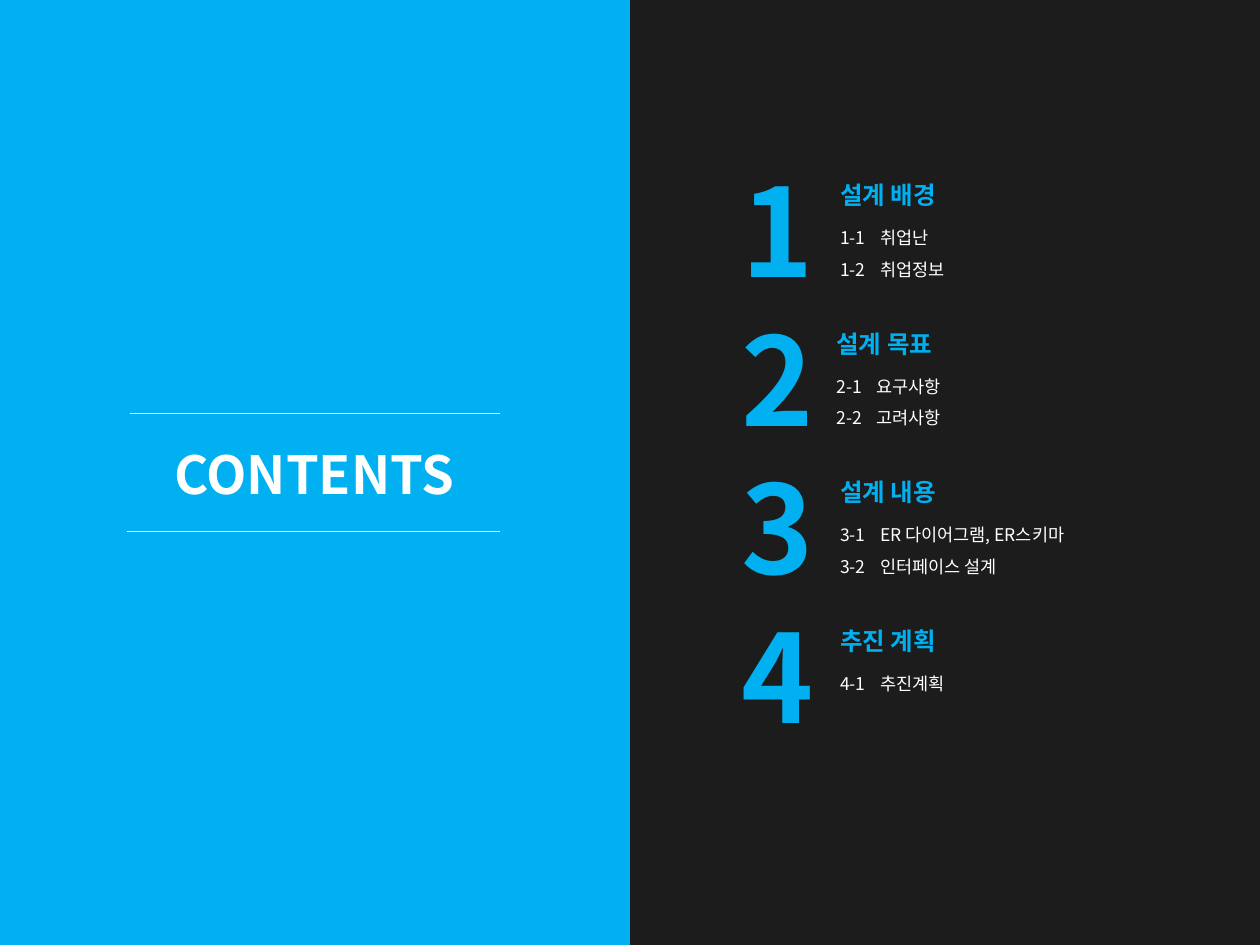
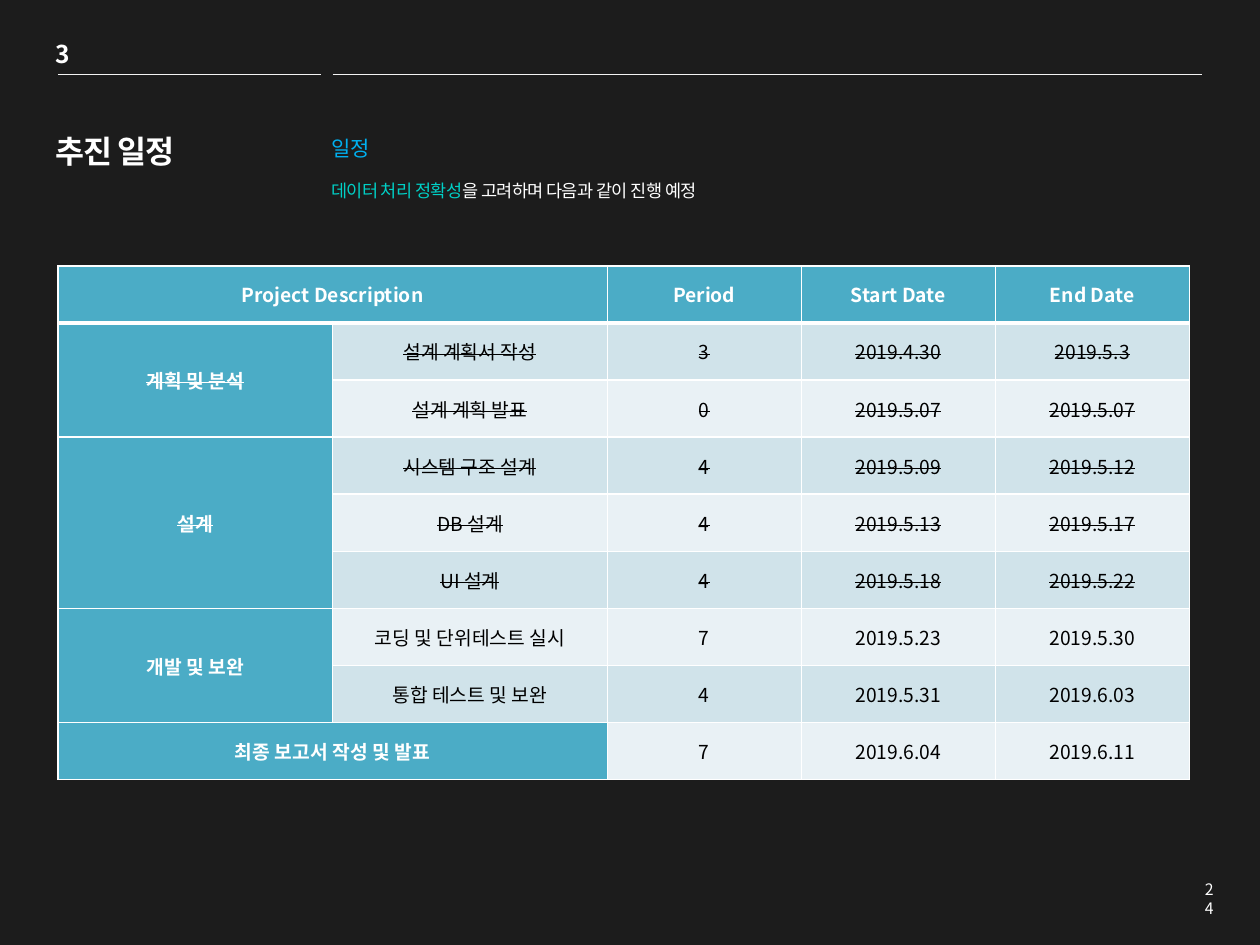
from pptx import Presentation, util as u
from pptx.dml.color import RGBColor
from pptx.enum import shapes, text
from pptx.oxml import ns, xmlchemy

Inches, Pt = u.Inches, u.Pt

# Shared look
FONT = "Noto Sans CJK KR"
DARK = RGBColor(0x1C, 0x1C, 0x1C)
WHITE = RGBColor(0xFF, 0xFF, 0xFF)
BLACK = RGBColor(0, 0, 0)
BLUE = RGBColor(0x00, 0xB0, 0xF0)
MINT = RGBColor(0x00, 0xD0, 0xC6)
RULE_GREY = RGBColor(0xF2, 0xF2, 0xF2)
TEAL = RGBColor(0x4B, 0xAC, 0xC6)
BANDS = [RGBColor(0xE9, 0xF1, 0xF5), RGBColor(0xD0, 0xE3, 0xEA)]

# Contents: heading, items, shift of the text column
SECTIONS = [
    ("설계 배경", ["1-1\t취업난", "1-2\t취업정보"], 0),
    ("설계 목표", ["2-1\t요구사항", "2-2\t고려사항"], -0.03),
    ("설계 내용", ["3-1\tER 다이어그램, ER스키마", "3-2\t인터페이스 설계"], 0),
    ("추진 계획", ["4-1\t추진계획"], 0),
]
SECTION_TOP, SECTION_STEP = 1.18, 1.18

# Schedule
COLUMN_WIDTHS = [2.18, 2.18, 1.54, 1.54, 1.54]
TABLE_HEIGHT = 4.08
SCHEDULE = [
    ["Project Description", "", "Period", "Start Date", "End Date"],
    ["계획 및 분석", "설계 계획서 작성", "3", "2019.4.30", "2019.5.3"],
    ["", "설계 계획 발표", "0", "2019.5.07", "2019.5.07"],
    ["설계", "시스템 구조 설계", "4", "2019.5.09", "2019.5.12"],
    ["", "DB 설계", "4", "2019.5.13", "2019.5.17"],
    ["", "UI 설계", "4", "2019.5.18", "2019.5.22"],
    ["개발 및 보완", "코딩 및 단위테스트 실시", "7", "2019.5.23", "2019.5.30"],
    ["", "통합 테스트 및 보완", "4", "2019.5.31", "2019.6.03"],
    ["최종 보고서 작성 및 발표", "", "7", "2019.6.04", "2019.6.11"],
]
MERGES = [((0, 0), (0, 1)), ((1, 0), (2, 0)), ((3, 0), (5, 0)),
          ((6, 0), (7, 0)), ((8, 0), (8, 1))]
DONE_ROWS = range(1, 6)


def add_element(parent, tag, **attributes):
    element = xmlchemy.OxmlElement(tag)
    for name, value in attributes.items():
        element.set(name, str(value))
    parent.append(element)
    return element


def style_span(span, size, color, bold=False, spacing=0, strike=False):
    span.font.size = Pt(size)
    span.font.bold = bold
    span.font.color.rgb = color
    span.font.name = FONT
    properties = span.font._element
    add_element(properties, "a:ea", typeface=FONT)
    if spacing:
        properties.set("spc", str(round(spacing * 100)))
    if strike:
        properties.set("strike", "sngStrike")


def add_page(deck):
    page = deck.slides.add_slide(deck.slide_layouts[6])
    page.background.fill.solid()
    page.background.fill.fore_color.rgb = DARK
    return page


def add_text(holder, place, lines, size, color, bold=False, spacing=0,
             wrap=True, fit=True, align=text.PP_ALIGN.LEFT,
             anchor=text.MSO_ANCHOR.TOP, line_spacing=None, tab=None):
    box = holder.shapes.add_textbox(*map(Inches, place))
    frame = box.text_frame
    frame.text = "\n".join(lines)
    frame.word_wrap = wrap
    frame.vertical_anchor = anchor
    if fit:
        frame.auto_size = text.MSO_AUTO_SIZE.SHAPE_TO_FIT_TEXT
    for para in frame.paragraphs:
        para.alignment = align
        if line_spacing:
            para.line_spacing = line_spacing
        if tab:
            tabs = add_element(para._p.get_or_add_pPr(), "a:tabLst")
            add_element(tabs, "a:tab", pos=Inches(tab), algn="l")
        for span in para.runs:
            style_span(span, size, color, bold, spacing)
    return box


def add_rule(page, left, right, top, color, width):
    line = page.shapes.add_connector(
        shapes.MSO_CONNECTOR.STRAIGHT,
        Inches(left), Inches(top), Inches(right), Inches(top))
    line.line.color.rgb = color
    line.line.width = Pt(width)
    add_element(line._element.spPr, "a:effectLst")


def add_section(page, number, heading, items, shift):
    top = SECTION_TOP + SECTION_STEP * (number - 1)
    left = 6.57 + shift
    group = page.shapes.add_group_shape()
    add_text(group, (left, top + 0.49, 2.6, 0.06 + 0.26 * len(items)), items,
             10, WHITE, line_spacing=1.5, tab=0.32)
    add_text(group, (left, top + 0.2, 2.83, 0.34), [heading], 14, BLUE, bold=True)
    add_text(group, (5.79, top, 0.79, 1.28), [str(number)], 70, BLUE,
             bold=True, wrap=False)


def set_borders(cell, top_width, bottom_width):
    properties = cell._tc.get_or_add_tcPr()
    widths = {"a:lnL": 1, "a:lnR": 1, "a:lnT": top_width, "a:lnB": bottom_width}
    for tag, width in widths.items():
        border = add_element(properties, tag, w=Pt(width))
        add_element(add_element(border, "a:solidFill"), "a:srgbClr", val=WHITE)


def fill_cell(cell, row, column, words):
    # Borders go before the fill in the cell properties
    set_borders(cell, 3 if row == 1 else 1, 3 if row == 0 else 1)
    titled = row == 0 or column == 0
    cell.fill.solid()
    cell.fill.fore_color.rgb = TEAL if titled else BANDS[row % 2]
    cell.vertical_anchor = text.MSO_ANCHOR.MIDDLE
    cell.margin_left = cell.margin_right = Inches(0.07)
    cell.margin_top = cell.margin_bottom = 0
    if words:
        cell.text_frame.text = words
        para = cell.text_frame.paragraphs[0]
        para.alignment = text.PP_ALIGN.CENTER
        style_span(para.runs[0], 11, WHITE if titled else BLACK, titled,
                   strike=row in DONE_ROWS)


def add_schedule(page, left, top):
    frame = page.shapes.add_table(
        len(SCHEDULE), len(COLUMN_WIDTHS), Inches(left), Inches(top),
        Inches(sum(COLUMN_WIDTHS)), Inches(TABLE_HEIGHT))
    table = frame.table
    for column, width in zip(table.columns, COLUMN_WIDTHS):
        column.width = Inches(width)
    for row in table.rows:
        row.height = Inches(TABLE_HEIGHT / len(SCHEDULE))
    for row, entries in enumerate(SCHEDULE):
        for column, words in enumerate(entries):
            fill_cell(table.cell(row, column), row, column, words)
    for first, last in MERGES:
        table.cell(*first).merge(table.cell(*last))


def build_contents(deck):
    page = add_page(deck)
    panel = page.shapes.add_shape(shapes.MSO_SHAPE.FLOWCHART_PROCESS,
                                  0, 0, Inches(5), Inches(7.5))
    panel.shadow.inherit = False
    panel.fill.solid()
    panel.fill.fore_color.rgb = BLUE
    panel.line.fill.background()

    add_text(page, (1.03, 2.95, 2.93, 1.61), ["CONTENTS"], 30, WHITE, bold=True,
             fit=False, align=text.PP_ALIGN.CENTER, anchor=text.MSO_ANCHOR.MIDDLE)
    add_rule(page, 1.03, 3.97, 3.28, WHITE, 0.75)
    add_rule(page, 1.01, 3.97, 4.22, WHITE, 0.75)
    for number, section in enumerate(SECTIONS, 1):
        add_section(page, number, *section)


def build_schedule(deck):
    page = add_page(deck)

    # Header band
    add_text(page, (0.34, 0.26, 0.31, 0.34), ["3"], 14, WHITE, bold=True,
             spacing=-0.5, wrap=False)
    add_rule(page, 0.46, 2.55, 0.59, RULE_GREY, 0.25)
    add_rule(page, 2.64, 9.54, 0.59, RULE_GREY, 0.25)

    # Title and lead
    add_text(page, (0.34, 1, 1.81, 1.61), ["추진 일정"], 18, WHITE, bold=True,
             spacing=-0.5, fit=False)
    add_text(page, (2.53, 1.03, 5.32, 0.3), ["일정"], 12, BLUE, spacing=-0.2)
    lead = add_text(page, (2.53, 1.31, 6.11, 0.31), ["데이터 처리 정확성"],
                    10, MINT, spacing=-0.3, line_spacing=1.4)
    rest = lead.text_frame.paragraphs[0].add_run()
    rest.text = "을 고려하며 다음과 같이 진행 예정"
    style_span(rest, 10, WHITE, spacing=-0.3)

    add_schedule(page, 0.46, 2.11)

    # Page number
    add_text(page, (9.45, 6.93, 0.28, 0.25), ["24"], 9, WHITE, fit=False,
             align=text.PP_ALIGN.RIGHT)


def main():
    deck = Presentation()
    deck.slide_width, deck.slide_height = Inches(10), Inches(7.5)
    build_contents(deck)
    build_schedule(deck)
    deck.save("out.pptx")


if __name__ == "__main__":
    main()
